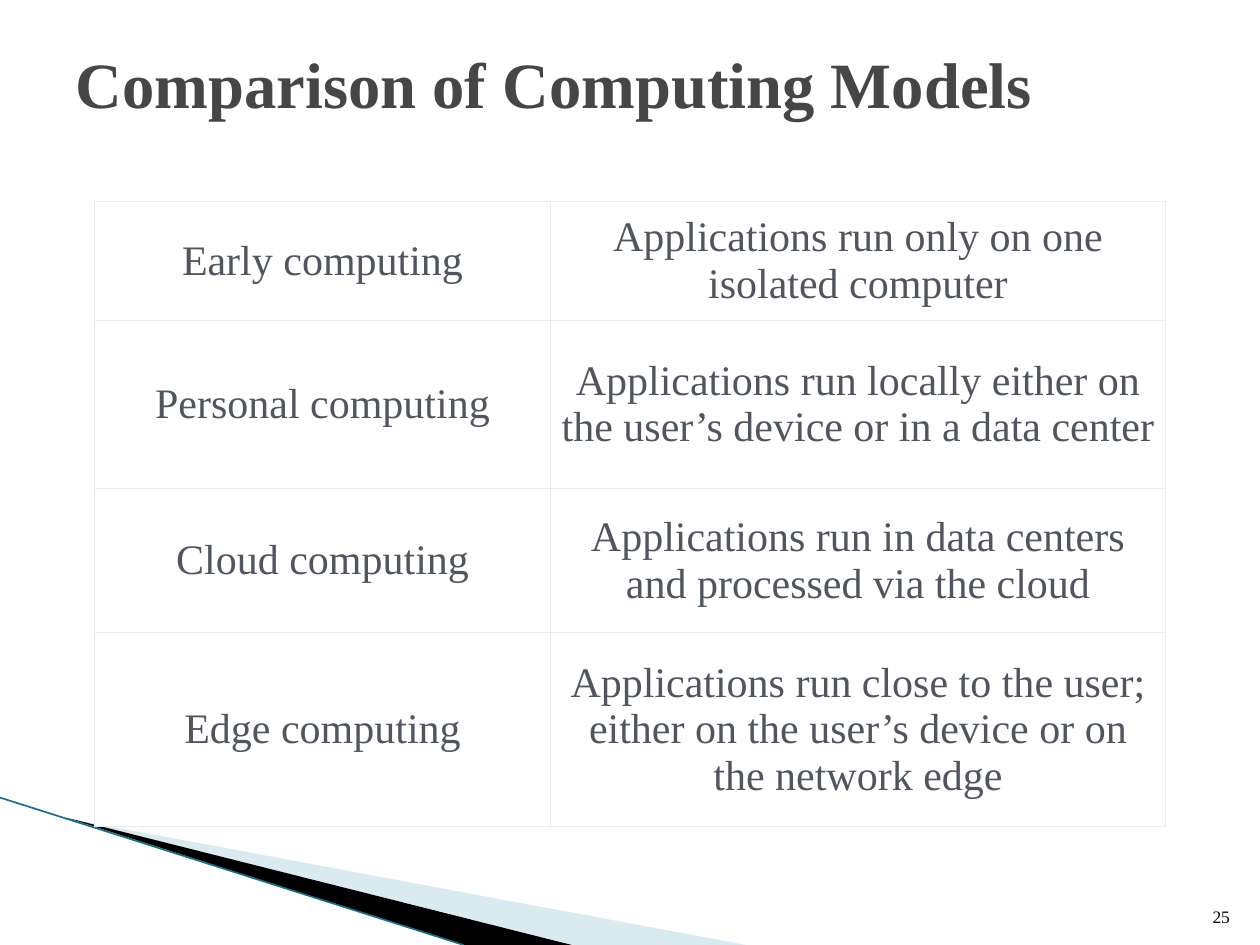
"""Build the slide comparing computing models in a two-column table."""
from lxml.etree import SubElement
from pptx import Presentation
from pptx.dml.color import RGBColor
from pptx.enum.shapes import MSO_CONNECTOR
from pptx.enum.text import MSO_ANCHOR as Anchor, MSO_AUTO_SIZE, PP_ALIGN as Align
from pptx.oxml.ns import qn
from pptx.util import Inches, Pt

COLORS = {
    "title": "464646", "body": "51565E", "border": "E6ECEF", "cell": "FFFFFF",
    "pale": "A0CBDC", "black": "000000", "edge": "1B6F82",
}
FONT = "Times New Roman"


def color(name):
    return RGBColor.from_string(COLORS[name])


def add_text(paragraph, text, size, color_name, align, bold=False):
    paragraph.alignment = align
    run = paragraph.add_run()
    run.text = text
    run.font.name = FONT
    run.font.size = Pt(size)
    run.font.bold = bold
    run.font.color.rgb = color(color_name)


deck = Presentation()
deck.slide_width, deck.slide_height = Inches(10), Inches(7.5)
slide = deck.slides.add_slide(deck.slide_layouts[5])

wedges = [
    ("pale", 40, [(0.55, 6.5), (5.92, 7.5), (4.56, 7.5)]),
    ("black", 100, [(0.53, 6.49), (4.54, 7.5), (3.68, 7.5)]),
]
for fill, opacity, corners in wedges:
    start, *others = [(Inches(x), Inches(y)) for x, y in corners]
    outline = slide.shapes.build_freeform(*start)
    outline.add_line_segments(others, close=True)
    wedge = outline.convert_to_shape()
    wedge.shadow.inherit = False
    wedge.fill.solid()
    wedge.fill.fore_color.rgb = color(fill)
    wedge.line.fill.background()
    if opacity < 100:
        tint = wedge.fill._xPr.find(qn("a:solidFill"))[0]
        SubElement(tint, qn("a:alpha"), val=str(opacity * 1000))

edge = slide.shapes.add_connector(
    MSO_CONNECTOR.STRAIGHT, Inches(0), Inches(6.33), Inches(3.68), Inches(7.5))
edge.line.color.rgb = color("edge")
edge.line.width = Pt(0.95)
SubElement(edge._element.spPr, qn("a:effectLst"))

page = slide.shapes.add_textbox(Inches(9.46), Inches(7.01), Inches(0.4), Inches(0.4))
page.text_frame.word_wrap = True
page.text_frame.vertical_anchor = Anchor.BOTTOM
add_text(page.text_frame.paragraphs[0], "25", 10, "black", Align.RIGHT)

title = slide.shapes.title
title.left, title.top = Inches(0.5), Inches(0.3)
title.width, title.height = Inches(9), Inches(1.25)
title.text_frame.auto_size = MSO_AUTO_SIZE.NONE
title.text_frame.vertical_anchor = Anchor.TOP
add_text(title.text_frame.paragraphs[0], "Comparison of Computing Models",
         36.9, "title", Align.LEFT, bold=True)

models = [
    (0.94, "Early computing", "Applications run only on one isolated computer"),
    (1.34, "Personal computing",
     "Applications run locally either on the user’s device or in a data center"),
    (1.14, "Cloud computing",
     "Applications run in data centers and processed via the cloud"),
    (1.54, "Edge computing",
     "Applications run close to the user; either on the user’s device or on the network edge"),
]
comparison = slide.shapes.add_table(
    len(models), 2, Inches(0.75), Inches(1.6), Inches(8.5), Inches(4.96)).table
comparison.first_row = comparison.horz_banding = False
for column, width in zip(comparison.columns, (3.62, 4.88)):
    column.width = Inches(width)
for row, (height, *texts) in zip(comparison.rows, models):
    row.height = Inches(height)
    for cell, text in zip(row.cells, texts):
        cell.margin_left = cell.margin_right = Inches(0.06)
        cell.margin_top = cell.margin_bottom = Inches(0.07)
        cell.vertical_anchor = Anchor.MIDDLE
        add_text(cell.text_frame.paragraphs[0], text, 24, "body", Align.CENTER)
        properties = cell._tc.get_or_add_tcPr()
        for side in ("lnL", "lnR", "lnT", "lnB"):
            border = SubElement(properties, qn(f"a:{side}"), w=str(Pt(0.5)))
            ink = SubElement(border, qn("a:solidFill"))
            SubElement(ink, qn("a:srgbClr"), val=COLORS["border"])
        cell.fill.solid()
        cell.fill.fore_color.rgb = color("cell")

deck.save("out.pptx")
